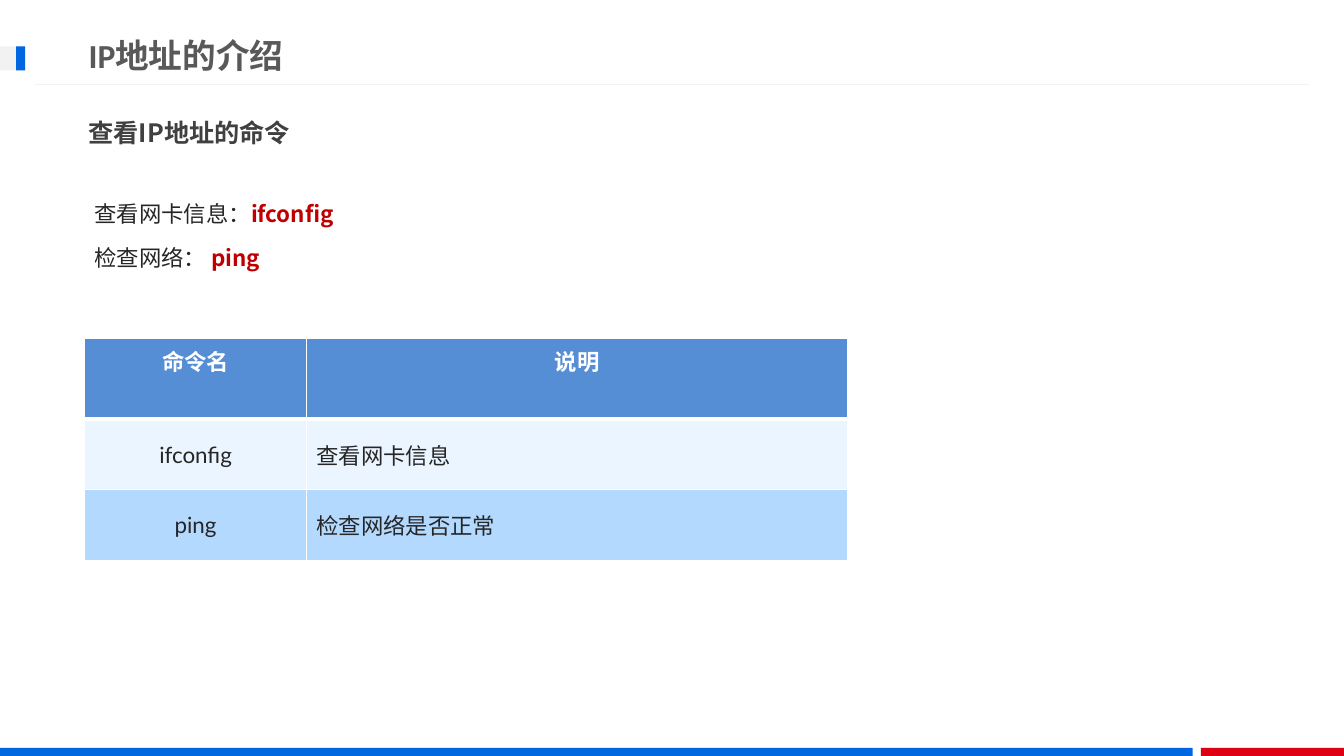
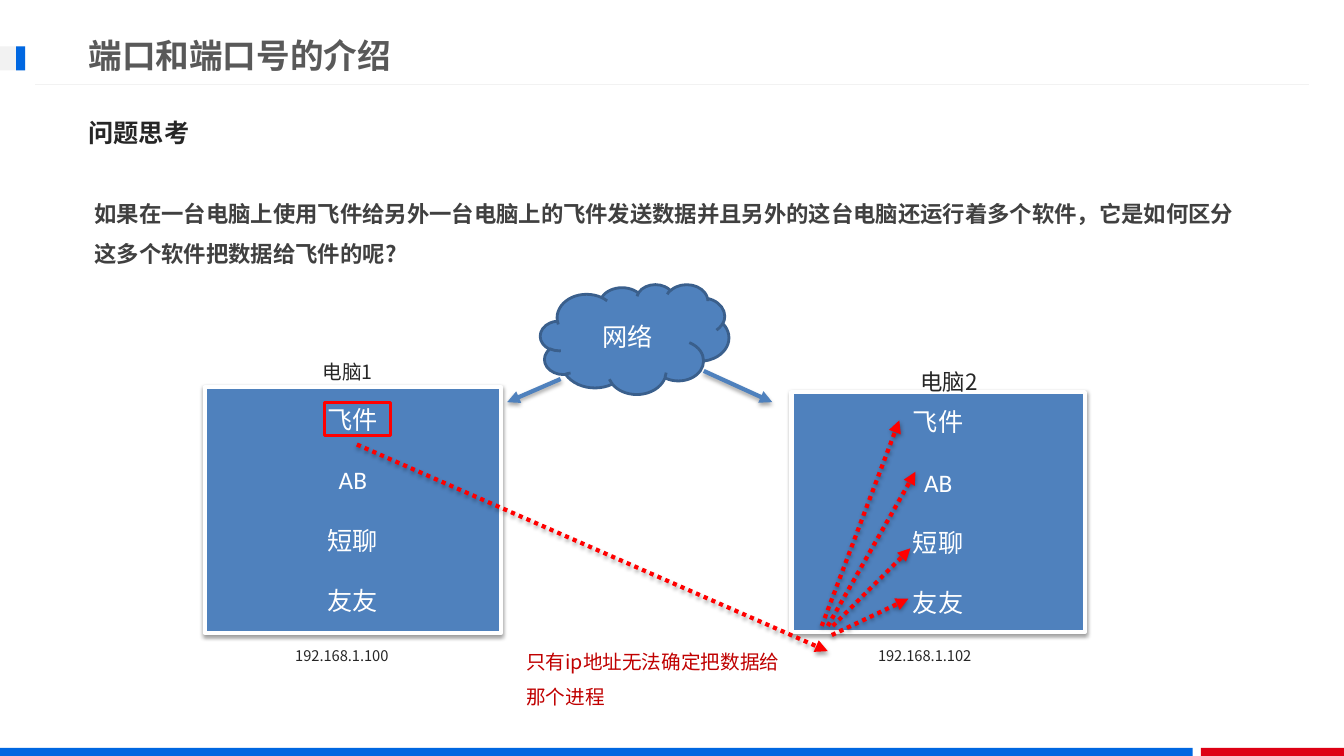
from lxml import etree
from pptx import Presentation
from pptx.dml.color import RGBColor
from pptx.enum import dml, shapes, text
from pptx.oxml import ns
from pptx.util import Inches, Pt

# Shared style
BLUE, RED, RULE, INK, DARK = "0067E1", "DE0014", "F2F2F2", "262626", "404040"
STEEL, STEEL_EDGE, WHITE, ALERT, WARM = "4F81BD", "3A5F8C", "FFFFFF", "FF0000", "C00000"
CJK, LATIN = "Noto Sans CJK SC", "Calibri"
LEFT, CENTER = text.PP_ALIGN.LEFT, text.PP_ALIGN.CENTER
TOP, MIDDLE = text.MSO_ANCHOR.TOP, text.MSO_ANCHOR.MIDDLE
RECT = shapes.MSO_SHAPE.RECTANGLE

BANDS = [((11.91, 7.42, 1.42, 0.08), RED), ((0, 7.42, 11.83, 0.08), BLUE),
         ((0, 0.46, 0.25, 0.24), RULE), ((0.16, 0.46, 0.09, 0.24), BLUE)]

# Slide 1: commands
COMMANDS = [("查看网卡信息：", "ifconfig"), ("检查网络： ", "ping")]
TABLE_ROWS = [("命令名", "说明"), ("ifconfig", "查看网卡信息"), ("ping", "检查网络是否正常")]
COLUMN_WIDTHS, ROW_HEIGHTS = (2.2, 5.37), (0.8, 0.7, 0.7)
ROW_FILLS = ("558ED5", "EBF5FF", "B3D9FF")

# Slide 2: two computers on a network
QUESTION = ("如果在一台电脑上使用飞件给另外一台电脑上的飞件发送数据并且另外的这台电脑"
            "还运行着多个软件，它是如何区分这多个软件把数据给飞件的呢?")
PROGRAMS = ["飞件", "AB", "短聊", "友友"]
COMPUTERS = [(2.03, 3.84, 2.94, 2.44), (7.85, 3.89, 2.91, 2.38)]
CAPTIONS = [("192.168.1.100", (2.83, 6.28, 1.43, 0.37), 10.5, INK),
            ("192.168.1.102", (8.61, 6.28, 1.42, 0.37), 10.5, INK),
            ("电脑1", (3.1, 3.4, 1.21, 0.41), 14, INK),
            ("电脑2", (9.03, 3.47, 1.26, 0.46), 16, INK),
            ("只有ip地址无法确定把数据给那个进程", (5.12, 6.28, 2.84, 0.77), 14, WARM)]
NETWORK_ARROWS = [((5.56, 3.76), (5.03, 3.99)), ((6.98, 3.68), (7.66, 3.99))]
DATA_ARROWS = [((3.54, 4.41), (8.21, 6.46)), ((8.15, 6.21), (8.92, 4.17)),
               ((8.21, 6.21), (9.08, 4.68)), ((8.26, 6.21), (9.03, 5.44)),
               ((8.25, 6.3), (9.01, 5.94))]


def color(value):
    return RGBColor.from_string(value)


def sub(parent, tag, **attributes):
    return etree.SubElement(parent, ns.qn(tag), attributes)


def add_shadow(shape, opacity, distance):
    effects = sub(shape._element.spPr, "a:effectLst")
    outer = sub(effects, "a:outerShdw", blurRad=str(Pt(3.1)), dist=str(Pt(distance)),
                dir="5400000", rotWithShape="0")
    sub(sub(outer, "a:srgbClr", val="000000"), "a:alpha", val=str(opacity * 1000))


def style(paragraph, size, ink, bold=False, font=CJK, align=LEFT, spacing=None):
    paragraph.alignment = align
    if spacing:
        paragraph.line_spacing = spacing
    paragraph.font.size = Pt(size)
    paragraph.font.bold = bold
    paragraph.font.name = font
    paragraph.font.color.rgb = color(ink)
    sub(paragraph._p.pPr.find(ns.qn("a:defRPr")), "a:ea", typeface=CJK)


def add_text(slide, place, words, size, ink, anchor=TOP, **looks):
    frame = slide.shapes.add_textbox(*map(Inches, place)).text_frame
    frame.word_wrap = True
    frame.vertical_anchor = anchor
    frame.text = words
    style(frame.paragraphs[0], size, ink, **looks)
    return frame


def add_block(slide, place, fill=None, edge=None, width=0, kind=RECT):
    block = slide.shapes.add_shape(kind, *map(Inches, place))
    if fill:
        block.fill.solid()
        block.fill.fore_color.rgb = color(fill)
    else:
        block.fill.background()
    if edge:
        block.line.color.rgb = color(edge)
        block.line.width = Pt(width)
    else:
        block.line.fill.background()
    return block


def add_line(slide, start, end, ink, width):
    line = slide.shapes.add_connector(shapes.MSO_CONNECTOR.STRAIGHT,
                                      *map(Inches, start + end))
    line.line.color.rgb = color(ink)
    line.line.width = Pt(width)
    return line


def add_arrow(slide, start, end, ink, dotted=False):
    arrow = add_line(slide, start, end, ink, 3)
    if dotted:
        arrow.line.dash_style = dml.MSO_LINE.ROUND_DOT
    sub(arrow.line._get_or_add_ln(), "a:tailEnd", type="triangle")
    add_shadow(arrow, 35, 1.8)


def new_slide(deck, title, subtitle, subtitle_ink):
    slide = deck.slides.add_slide(deck.slide_layouts[6])
    for place, fill in BANDS:
        add_block(slide, place, fill).shadow.inherit = False
    rule = add_line(slide, (12.98, 0.84), (0.35, 0.84), RULE, 0.75)
    sub(rule._element.spPr, "a:effectLst")
    add_text(slide, (0.78, 0.26, 9.59, 0.57), title, 24, "595959", MIDDLE,
             bold=True, font=LATIN)
    add_text(slide, (0.78, 1.03, 11.7, 0.57), subtitle, 18, subtitle_ink, MIDDLE, bold=True)
    return slide


def add_borders(cell, row):
    properties = cell._tc.get_or_add_tcPr()
    thick = {0: "a:lnB", 1: "a:lnT"}.get(row)
    for index, side in enumerate(("a:lnL", "a:lnR", "a:lnT", "a:lnB")):
        border = etree.Element(ns.qn(side), w=str(Pt(3 if side == thick else 1)))
        sub(sub(border, "a:solidFill"), "a:srgbClr", val=WHITE)
        properties.insert(index, border)


def add_command_table(slide):
    place = (0.84, 3.36, sum(COLUMN_WIDTHS), sum(ROW_HEIGHTS))
    table = slide.shapes.add_table(len(TABLE_ROWS), len(COLUMN_WIDTHS),
                                   *map(Inches, place)).table
    for column, width in zip(table.columns, COLUMN_WIDTHS):
        column.width = Inches(width)
    for r, words in enumerate(TABLE_ROWS):
        table.rows[r].height = Inches(ROW_HEIGHTS[r])
        header = r == 0
        for c, word in enumerate(words):
            cell = table.cell(r, c)
            cell.text = word
            cell.fill.solid()
            cell.fill.fore_color.rgb = color(ROW_FILLS[r])
            cell.vertical_anchor = TOP if header else MIDDLE
            add_borders(cell, r)
            style(cell.text_frame.paragraphs[0], 16, WHITE if header else INK, header, "Lato",
                  CENTER if header or c == 0 else LEFT, Pt(24) if header else None)


def build_commands(deck):
    slide = new_slide(deck, "IP地址的介绍", "查看IP地址的命令", DARK)
    frame = add_text(slide, (0.84, 1.8, 11.7, 1.2), "", 16, INK, spacing=1.5)
    for index, (label, command) in enumerate(COMMANDS):
        para = frame.paragraphs[0]
        if index:
            para = frame.add_paragraph()
            para.space_before = Pt(3.2)
            style(para, 16, INK, spacing=1.5)
        para.add_run().text = label
        span = para.add_run()
        span.text = command
        span.font.bold = True
        span.font.color.rgb = color(WARM)
    add_command_table(slide)


def build_ports(deck):
    slide = new_slide(deck, "端口和端口号的介绍", "问题思考", INK)
    add_text(slide, (0.84, 1.8, 11.7, 1), QUESTION, 16, DARK, bold=True, spacing=1.5)

    # Computers and the programs they run
    for place in COMPUTERS:
        computer = add_block(slide, place, STEEL, WHITE, 3)
        add_shadow(computer, 38, 1.6)
        frame = computer.text_frame
        frame.text = "\n".join(PROGRAMS)
        for index, para in enumerate(frame.paragraphs):
            if index:
                para.space_before = Pt(21.5)
            style(para, 18, WHITE, font=LATIN, align=CENTER, spacing=Pt(21.5))

    # Network cloud
    cloud = add_block(slide, (5.36, 2.82, 1.87, 1.09), STEEL, STEEL_EDGE, 2,
                      shapes.MSO_SHAPE.CLOUD)
    cloud.shadow.inherit = False
    cloud.text_frame.text = "网络"
    style(cloud.text_frame.paragraphs[0], 18, WHITE, font=LATIN, align=CENTER)
    for start, end in NETWORK_ARROWS:
        add_arrow(slide, start, end, STEEL)

    # Captions, sender frame and data paths
    for words, place, size, ink in CAPTIONS:
        add_text(slide, place, words, size, ink, spacing=1.5)
    sender = add_block(slide, (3.22, 3.99, 0.65, 0.33), edge=ALERT, width=2)
    sender.shadow.inherit = False
    for start, end in DATA_ARROWS:
        add_arrow(slide, start, end, ALERT, dotted=True)


def main():
    deck = Presentation()
    deck.slide_width, deck.slide_height = Inches(13.33), Inches(7.5)
    build_commands(deck)
    build_ports(deck)
    deck.save("out.pptx")


if __name__ == "__main__":
    main()
